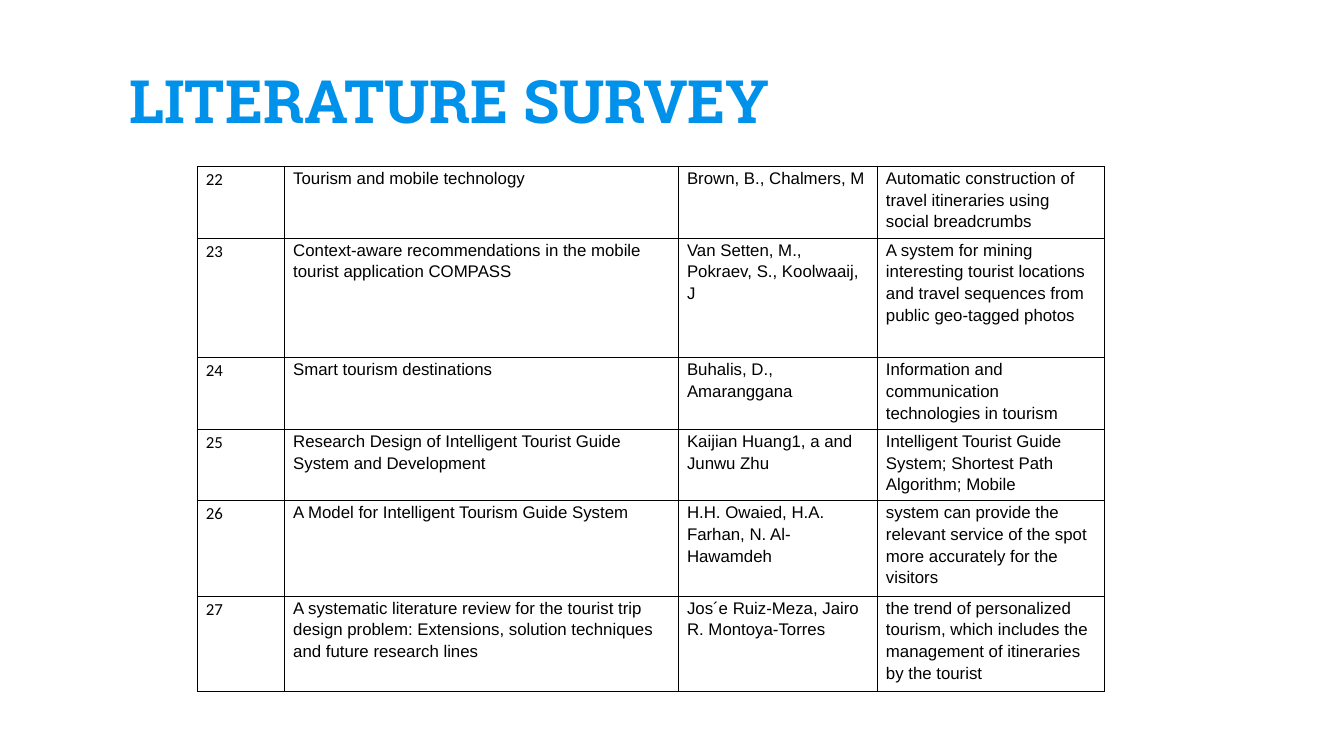
from pptx import Presentation
from pptx.dml.color import RGBColor
from pptx.enum.text import MSO_ANCHOR as Anchor, MSO_AUTO_SIZE as AutoSize, PP_ALIGN as Align
from pptx.oxml import parse_xml
from pptx.oxml.ns import nsdecls
from pptx.util import Pt

BLUE, BLACK = "0091EA", "000000"

COLUMN_WIDTHS = [46.8, 211, 106.6, 121.6]
ROW_HEIGHTS = [38.4, 64.1, 38.4, 38.2, 51.2, 51.2]
FIRST_NUMBER = 22
SURVEY = [
    ("Tourism and mobile technology",
     "Brown, B., Chalmers, M",
     "Automatic construction of travel itineraries using social breadcrumbs"),
    ("Context-aware recommendations in the mobile tourist application COMPASS",
     "Van Setten, M., Pokraev, S., Koolwaaij, J",
     "A system for mining interesting tourist locations and travel sequences "
     "from public geo-tagged photos"),
    ("Smart tourism destinations",
     "Buhalis, D., Amaranggana",
     "Information and communication technologies in tourism"),
    ("Research Design of Intelligent Tourist Guide System and Development",
     "Kaijian Huang1, a and Junwu Zhu",
     "Intelligent Tourist Guide System; Shortest Path Algorithm; Mobile"),
    ("A Model for Intelligent Tourism Guide System",
     "H.H. Owaied, H.A. Farhan, N. Al-Hawamdeh",
     "system can provide the relevant service of the spot more accurately "
     "for the visitors"),
    ("A systematic literature review for the tourist trip design problem: "
     "Extensions, solution techniques and future research lines",
     "Jos´e Ruiz-Meza, Jairo R. Montoya-Torres",
     "the trend of personalized tourism, which includes the management of "
     "itineraries by the tourist"),
]


def color(value):
    return RGBColor.from_string(value)


class SurveySlide:
    title_font, text_font, number_font = "Roboto Slab", "Arial", "Calibri"
    title_size, text_size = 32, 9
    border_width = 0.75

    def __init__(self, deck):
        self.page = deck.slides.add_slide(deck.slide_layouts[5])

    def style(self, para, font, size, tint, bold=False):
        para.font.name = font
        para.font.size = Pt(size)
        para.font.bold = bold
        para.font.color.rgb = color(tint)
        para.alignment = Align.LEFT

    def title(self, text, left, top, width, height):
        box = self.page.shapes.title
        box.left, box.top, box.width, box.height = map(Pt, (left, top, width, height))
        frame = box.text_frame
        frame.text = text
        frame.auto_size = AutoSize.NONE
        frame.vertical_anchor = Anchor.BOTTOM
        frame.margin_left = frame.margin_right = Pt(7.2)
        frame.margin_top = frame.margin_bottom = Pt(7.2)
        self.style(frame.paragraphs[0], self.title_font, self.title_size, BLUE, bold=True)

    def borders(self, cell):
        properties = cell._tc.get_or_add_tcPr()
        for side in "LRTB":
            properties.append(parse_xml(
                f'<a:ln{side} {nsdecls("a")} w="{Pt(self.border_width)}">'
                f'<a:solidFill><a:srgbClr val="{BLACK}"/></a:solidFill></a:ln{side}>'))

    def cell(self, cell, text, font):
        cell.text = text
        cell.margin_left = cell.margin_right = Pt(4.5)
        cell.margin_top = cell.margin_bottom = 0
        cell.vertical_anchor = Anchor.TOP
        self.borders(cell)
        cell.fill.background()
        para = cell.text_frame.paragraphs[0]
        para.line_spacing = 1.15
        para.space_after = Pt(10)
        self.style(para, font, self.text_size, BLACK)

    def table(self, rows, left, top, widths, heights):
        table = self.page.shapes.add_table(
            len(rows), len(widths), Pt(left), Pt(top),
            Pt(sum(widths)), Pt(sum(heights))).table
        table.first_row = table.horz_banding = False
        for column, width in zip(table.columns, widths):
            column.width = Pt(width)
        for row, height, texts in zip(table.rows, heights, rows):
            row.height = Pt(height)
            for index, (cell, text) in enumerate(zip(row.cells, texts)):
                self.cell(cell, text, self.text_font if index else self.number_font)


def main():
    deck = Presentation()
    deck.slide_width, deck.slide_height = Pt(720), Pt(405)
    slide = SurveySlide(deck)

    # Heading
    slide.title("LITERATURE SURVEY", 62, 24.5, 596, 55.5)

    # Numbered papers: title, authors, findings
    rows = [(str(number), *paper) for number, paper in enumerate(SURVEY, FIRST_NUMBER)]
    slide.table(rows, 105.8, 89.2, COLUMN_WIDTHS, ROW_HEIGHTS)

    deck.save("out.pptx")


if __name__ == "__main__":
    main()
